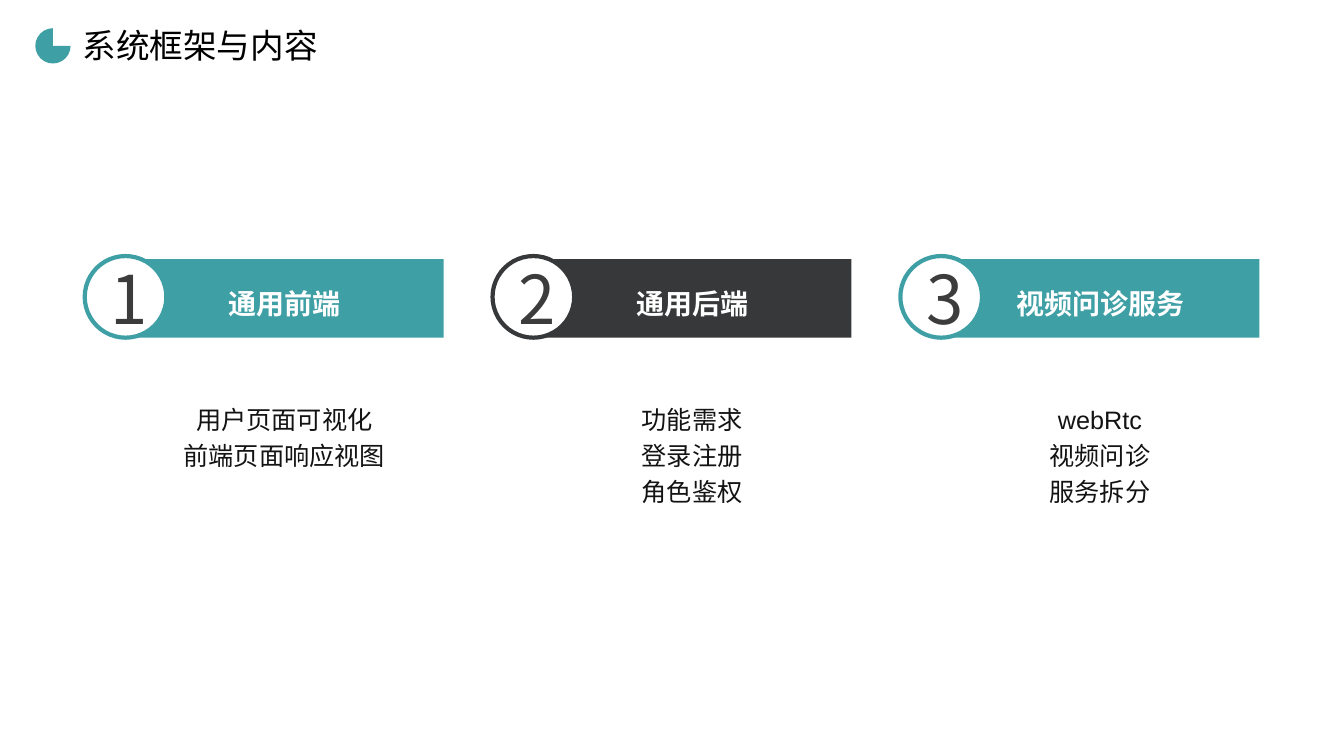
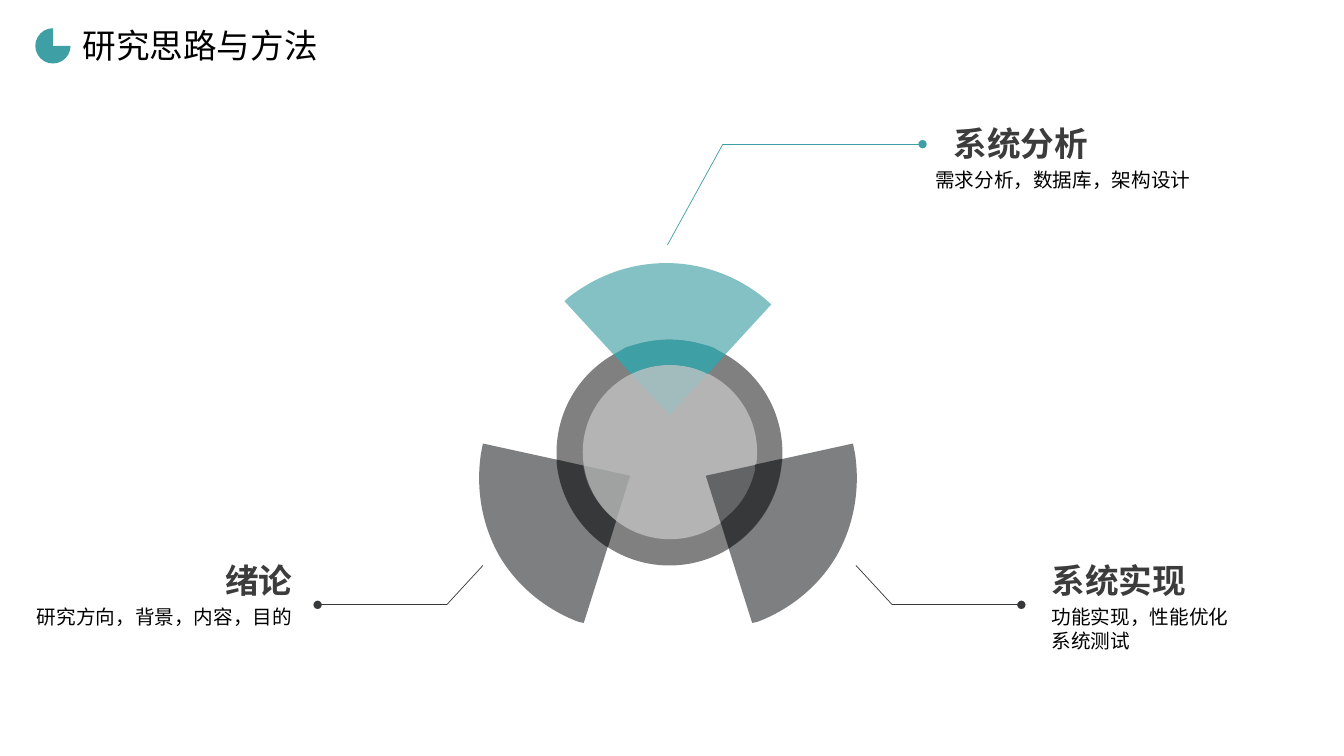
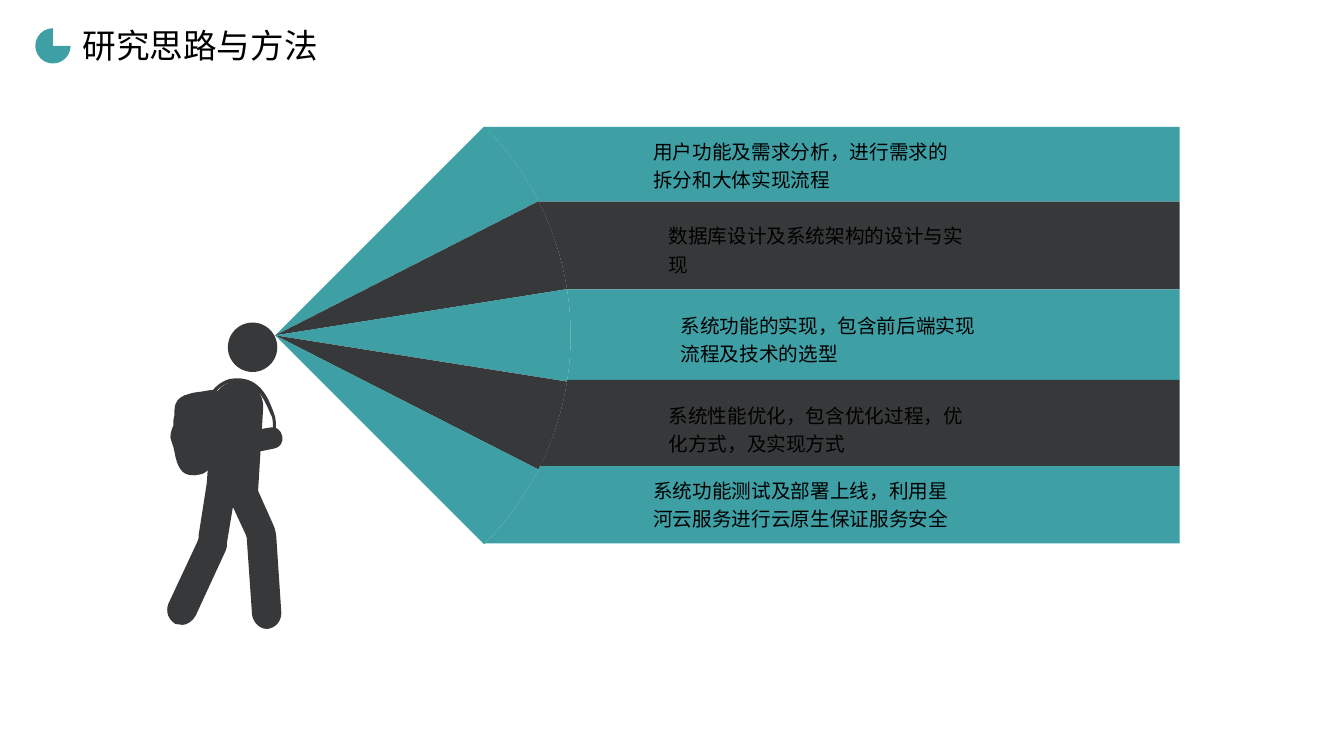
from collections import namedtuple
from math import asin, cos, radians, sin, tan

from lxml import etree
from pptx import Presentation
from pptx.dml.color import RGBColor
from pptx.enum.shapes import MSO_CONNECTOR, MSO_SHAPE
from pptx.enum.text import PP_ALIGN
from pptx.oxml.ns import qn
from pptx.util import Inches, Pt

LEFT, CENTER, RIGHT = PP_ALIGN.LEFT, PP_ALIGN.CENTER, PP_ALIGN.RIGHT
OVAL, PIE = MSO_SHAPE.OVAL, MSO_SHAPE.PIE
STRAIGHT = MSO_CONNECTOR.STRAIGHT

Style = namedtuple("Style", "size color bold spacing inset wrap font",
                   defaults=(False, 1.0, 0, True, "Arial"))


class Theme:
    teal, dark, darkest = "3E9FA5", "363839", "292A2B"
    ring, hub, white = "808080", "D9D9D9", "FFFFFF"
    cjk = "Noto Sans CJK SC"
    title = Style(24, "000000", inset=1, wrap=False, font=cjk)
    number = Style(48, "3C3C3C", inset=1, font=cjk)
    banner = Style(20, white, bold=True, spacing=1.2)
    detail = Style(18, "131313", spacing=1.2)
    heading = Style(24, "3C3C3C", bold=True)
    note = Style(14, "000000")
    ray = Style(14, "000000", spacing=1.2)


prs = Presentation()
prs.slide_width, prs.slide_height = Inches(13.33), Inches(7.5)
CELL = prs.slide_height // 75  # square grid, 75 rows high


def draw(slide, form, fill, alpha=None):
    """Draw a preset (kind, left, top, width, height) or an outline.

    An outline is a list of points; a six-number entry is a cubic curve.
    """
    if isinstance(form, tuple):
        kind, *box = form
        shape = slide.shapes.add_shape(kind, *(round(v * CELL) for v in box))
    else:
        steps = [[round(v * CELL) for v in step] for step in form]
        builder = slide.shapes.build_freeform(*steps[0], scale=1.0)
        builder.add_line_segments([step[-2:] for step in steps[1:]], close=True)
        shape = builder.convert_to_shape()
        segments = list(shape._element.iter(qn("a:lnTo")))
        for segment, step in zip(segments, steps[1:]):
            if len(step) == 6:
                segment.tag = qn("a:cubicBezTo")
                for child in list(segment):
                    segment.remove(child)
                for x, y in zip(step[::2], step[1::2]):
                    etree.SubElement(segment, qn("a:pt"), x=str(x - shape.left),
                                     y=str(y - shape.top))
    shape.shadow.inherit = False
    shape.fill.solid()
    shape.fill.fore_color.rgb = RGBColor.from_string(fill)
    shape.line.fill.background()
    if alpha:
        color = shape._element.spPr.find(".//" + qn("a:srgbClr"))
        etree.SubElement(color, qn("a:alpha"), val=str(alpha * 1000))
    return shape


def write(slide, box, lines, style, align=LEFT):
    frame = slide.shapes.add_textbox(*(round(v * CELL) for v in box)).text_frame
    frame.word_wrap = style.wrap
    frame.margin_left = frame.margin_right = style.inset * CELL
    frame.margin_top = frame.margin_bottom = style.inset * CELL // 2
    frame.text = "\n".join(lines)
    for paragraph in frame.paragraphs:
        paragraph.alignment = align
        paragraph.line_spacing = style.spacing
        font = paragraph.font
        font.size, font.bold, font.name = Pt(style.size), style.bold, style.font
        font.color.rgb = RGBColor.from_string(style.color)
        etree.SubElement(paragraph._p.pPr.find(qn("a:defRPr")), qn("a:ea"),
                         typeface=Theme.cjk)


framework, method, stages = (prs.slides.add_slide(prs.slide_layouts[6]) for _ in range(3))

# Framework: three numbered banners
MODULES = [
    ("通用前端", Theme.teal, ["用户页面可视化", "前端页面响应视图"]),
    ("通用后端", Theme.dark, ["功能需求", "登录注册", "角色鉴权"]),
    ("视频问诊服务", Theme.teal, ["webRtc", "视频问诊", "服务拆分"]),
]
BANNER = [(5.4, 25.7), (35.6, 25.7), (35.6, 33.5), (4.1, 33.5),
          (6.3, 33.5, 8.1, 31.7, 8.1, 29.5), (8.1, 27.8, 7.1, 26.4, 5.7, 25.7)]
for index, (name, color, details) in enumerate(MODULES):
    left = 8.4 + index * 40.45
    badge = draw(framework, (OVAL, left, 25.4, 8.1, 8.1), Theme.white)
    badge.fill.background()
    badge.line.color.rgb = RGBColor.from_string(color)
    badge.line.width = Pt(3)
    draw(framework, [tuple(v if i % 2 else left + v for i, v in enumerate(step))
                     for step in BANNER], color)
    write(framework, (left + 1.6, 25, 4.9, 9.1), [str(index + 1)], Theme.number, CENTER)
    write(framework, (left + 7.05, 27.8, 25.6, 4), [name], Theme.banner, CENTER)
    write(framework, (left + 6.15, 39.5, 27.3, 3.6 * len(details)), details,
          Theme.detail, CENTER)

# Method: three petals round a hub, the lower two mirrored
MIRROR = 132.5
right_petal = [(83, 55.1), (84.8, 51.9, 85.3, 48.3, 84.8, 45), (84.6, 44),
               (70, 47.2), (74.6, 61.8), (75.1, 61.7), (78.3, 60.5, 81.2, 58.2, 83, 55.1)]
left_petal = [tuple(v if i % 2 else MIRROR - v for i, v in enumerate(step))
              for step in right_petal]
top_petal = [(66.1, 26.1), (69.7, 26.1, 73.1, 27.4, 75.7, 29.5), (76.5, 30.2),
             (66.4, 41.2), (56, 29.9), (56.4, 29.5), (59.1, 27.4, 62.4, 26.1, 66.1, 26.1)]
top_arc = [(66.4, 33.7), (67.9, 33.7, 69.4, 34, 70.8, 34.5), (71.9, 35.2), (70.2, 37.1),
           (69.8, 36.9), (68.7, 36.4, 67.6, 36.2, 66.4, 36.2),
           (65.2, 36.2, 64.1, 36.4, 63, 36.9), (62.6, 37.1), (60.9, 35.2), (62, 34.5),
           (63.4, 34, 64.9, 33.7, 66.4, 33.7)]
right_arc = [(77.6, 45.5), (77.5, 46), (77.2, 49.4, 75.3, 52.3, 72.7, 54.1),
             (72.3, 54.4), (71.5, 51.8), (72.5, 50.9),
             (73.7, 49.8, 74.5, 48.3, 74.9, 46.6), (74.9, 46.1)]
left_arc = [(55.2, 45.6), (57.8, 46.2), (57.9, 46.6), (58.2, 48.3, 59.1, 49.8, 60.3, 51),
            (61.1, 51.7), (60.3, 54.3), (60.1, 54.2),
            (57.4, 52.4, 55.6, 49.4, 55.2, 46)]

for color, leader in ((Theme.teal, [(66.2, 24.3), (71.7, 14.3), (91.5, 14.3)]),
                      (Theme.dark, [(47.9, 56.1), (44.3, 60), (31.5, 60)]),
                      (Theme.dark, [(84.9, 56.1), (88.5, 60), (101.3, 60)])):
    for start, end in zip(leader, leader[1:]):
        segment = method.shapes.add_connector(
            STRAIGHT, *(round(v * CELL) for v in start + end))
        segment.line.color.rgb = RGBColor.from_string(color)
        segment.line.width = Pt(0.5)
        properties = segment._element.spPr
        if end == leader[-1]:
            etree.SubElement(properties.find(qn("a:ln")), qn("a:tailEnd"), type="oval")
        etree.SubElement(properties, qn("a:effectLst"))

for form, color, alpha in (
        ((OVAL, 55.2, 33.7, 22.4, 22.4), Theme.ring, None),
        (top_petal, Theme.teal, 64),
        (left_petal, Theme.dark, 64),
        ((OVAL, 57.8, 36.2, 17.3, 17.3), Theme.hub, 59),
        (right_petal, Theme.dark, 64),
        (top_arc, Theme.teal, None),
        (right_arc, Theme.dark, None),
        (left_arc, Theme.darkest, 64)):
    draw(method, form, color, alpha)

for heading, heading_left, notes, note_left, top, align in (
        ("系统实现", 104.3, ["功能实现，性能优化", "系统测试"], 104.3, 55.55, LEFT),
        ("绪论", 8, ["研究方向，背景，内容，目的"], 3.5, 55.55, RIGHT),
        ("系统分析", 86.9, ["需求分析，数据库，架构设计"], 92.6, 12.2, RIGHT)):
    write(method, (heading_left, top, 21, 4), [heading], Theme.heading, align)
    write(method, (note_left, top + 4.5, 25.5, 2.4 * len(notes)), notes, Theme.note, align)

# Stages: a walker's view fans out into five bands
EYE_X, EYE_Y, REACH, BAND_RIGHT = 27.3, 33.27, 29.3, 117
BAND_EDGES = [12.6, 20, 28.7, 37.7, 46.25, 53.9]
STAGES = [
    ("用户功能及需求分析，进行需求的拆分和大体实现流程", 64.8, 13.4),
    ("数据库设计及系统架构的设计与实现", 66.3, 21.8),
    ("系统功能的实现，包含前后端实现流程及技术的选型", 67.5, 30.7),
    ("系统性能优化，包含优化过程，优化方式，及实现方式", 66.3, 39.6),
    ("系统功能测试及部署上线，利用星河云服务进行云原生保证服务安全", 64.8, 47),
]
for index, (stage, text_left, text_top) in enumerate(STAGES):
    top, bottom = BAND_EDGES[index:index + 2]
    band = [(BAND_RIGHT, bottom), (BAND_RIGHT, top)]
    band_angles = [asin((y - EYE_Y) / REACH) for y in (top, bottom)]
    ray_angles = [radians(18 * index - 45), radians(18 * index - 27)]
    for corners, (a, b) in ((band, band_angles), ([(EYE_X, EYE_Y)], ray_angles)):
        x1, y1 = EYE_X + REACH * cos(a), EYE_Y + REACH * sin(a)
        x2, y2 = EYE_X + REACH * cos(b), EYE_Y + REACH * sin(b)
        pull = REACH * 4 / 3 * tan((b - a) / 4)
        arc = (x1 - pull * sin(a), y1 + pull * cos(a),
               x2 + pull * sin(b), y2 - pull * cos(b), x2, y2)
        draw(stages, corners + [(x1, y1), arc], (Theme.teal, Theme.dark)[index % 2])
    write(stages, (text_left, text_top, 30.5, 5.6), [stage], Theme.ray)

head = (OVAL, 22.6, 32, 4.9, 4.9)
backpack = [(20.3, 38.8), (19.8, 38.9, 19.2, 38.9, 18.7, 39.1),
            (18.2, 39.2, 17.6, 39.5, 17.4, 40.1), (17.3, 40.4, 17.3, 40.6, 17.3, 40.9),
            (17.3, 41.1, 17.3, 41.4, 17.2, 41.7), (17.2, 41.9, 17.2, 42.1, 17.2, 42.2),
            (17.1, 42.5, 16.9, 42.8, 16.9, 43.4), (17, 43.9, 17.2, 44.2, 17.3, 44.8),
            (17.4, 45.3, 17.6, 46.6, 18.4, 47), (19, 47.3, 19.7, 47.1, 20.1, 47),
            (20.3, 46.9, 21.1, 46.4, 21.1, 46.1), (21.4, 39.7),
            (21.4, 39.7, 22.6, 38.3, 20.3, 38.8)]
body = [(23.1, 50.3), (22.5, 53.9), (22.5, 54.2, 22.5, 54.4, 22.4, 54.6), (19.4, 61.1),
        (19.1, 61.6, 18.6, 62, 18.1, 62), (17.9, 62, 17.6, 61.9, 17.4, 61.9),
        (16.7, 61.5, 16.4, 60.7, 16.7, 59.9), (19.6, 53.7),
        (19.7, 53.5, 19.7, 53.3, 19.7, 53.1), (20.5, 48), (21.1, 40),
        (21.2, 38.8, 22.4, 37.7, 23.8, 37.8), (25.1, 37.8, 26.2, 39.1, 26.1, 40.5),
        (25.6, 48.7), (27.2, 52.3), (27.3, 52.7, 27.4, 52.9, 27.4, 53.2), (27.9, 60.8),
        (27.9, 61.6, 27.4, 62.3, 26.5, 62.4), (25.7, 62.4, 25.1, 61.7, 25, 61),
        (24.5, 53.8), (24.5, 53.6, 24.5, 53.3, 24.4, 53.1)]
strap = [(20.2, 46.2), (20.1, 46.2, 20, 46.1, 20, 46), (20.2, 45.4, 21.4, 44.3, 22, 44.1),
         (22.8, 43.9, 23.6, 43.7, 24.7, 43.9), (24.9, 43.9),
         (25.4, 43.9, 25.9, 44, 26.2, 43.8), (26.5, 43.6, 26.9, 43.3, 27, 42.8),
         (27.1, 42.5, 27.1, 42, 27, 41.4), (26.8, 41), (26.1, 39.3, 25.2, 37.5, 22.8, 38),
         (22, 38.1, 21.1, 39, 21, 39.9), (20.7, 40), (20.6, 39.8),
         (20.7, 38.8, 21.9, 37.8, 22.8, 37.6), (25.7, 37.1, 26.6, 39.5, 27.1, 40.8),
         (27.3, 41.4), (27.4, 42, 27.4, 42.5, 27.3, 42.9),
         (27.2, 43.5, 26.9, 43.9, 26.4, 44.1), (25.9, 44.4, 25.4, 44.3, 24.9, 44.2),
         (24.7, 44.2), (23.7, 44.1, 23, 44.2, 22.1, 44.5),
         (21.6, 44.6, 20.5, 45.7, 20.4, 46.1)]
arm = [(22.5, 45.4), (22.2, 45.4, 21.9, 45.3, 21.7, 45.1),
       (21.4, 44.9, 21.3, 44.4, 21.4, 44.1), (22.3, 39.3),
       (22.4, 38.7, 23, 38.2, 23.5, 38.3), (24.2, 38.5, 24.5, 39.1, 24.4, 39.6),
       (23.8, 42.9), (26.9, 42.4), (27.4, 42.3, 27.9, 42.7, 28, 43.3),
       (28.1, 43.9, 27.8, 44.4, 27.2, 44.5), (22.7, 45.4)]
hip_fold = [(23.1, 50.4), (22.6, 48.6), (23.1, 50.4)]
for part in (backpack, body, head, strap, arm, hip_fold):
    draw(stages, part, Theme.dark)

for slide, title in ((framework, "系统框架与内容"), (method, "研究思路与方法"),
                     (stages, "研究思路与方法")):
    draw(slide, (PIE, 3.5, 2.8, 3.5, 3.5), Theme.teal)
    write(slide, (7.2, 2, 25.5, 5), [title], Theme.title)

prs.save("out.pptx")
